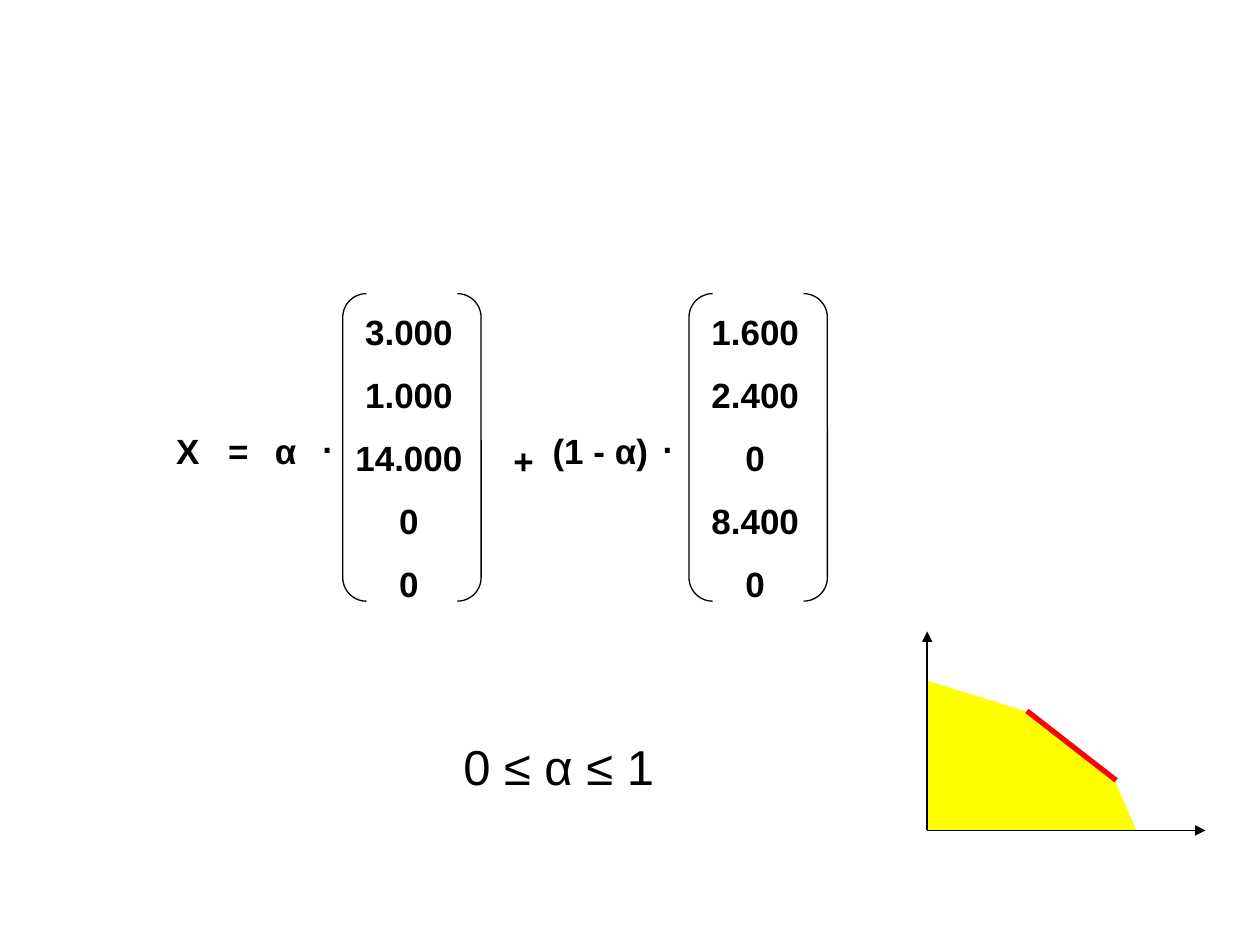
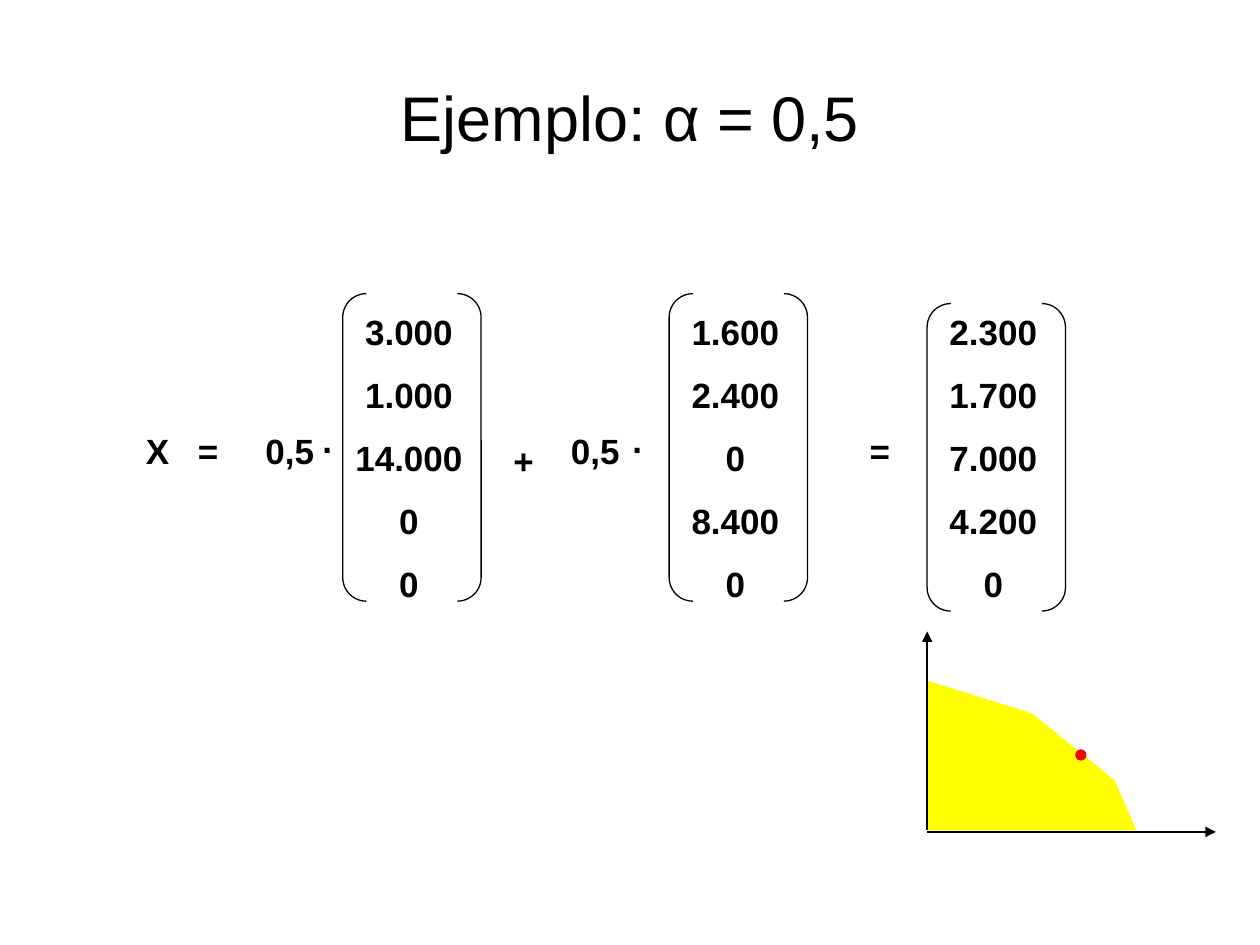
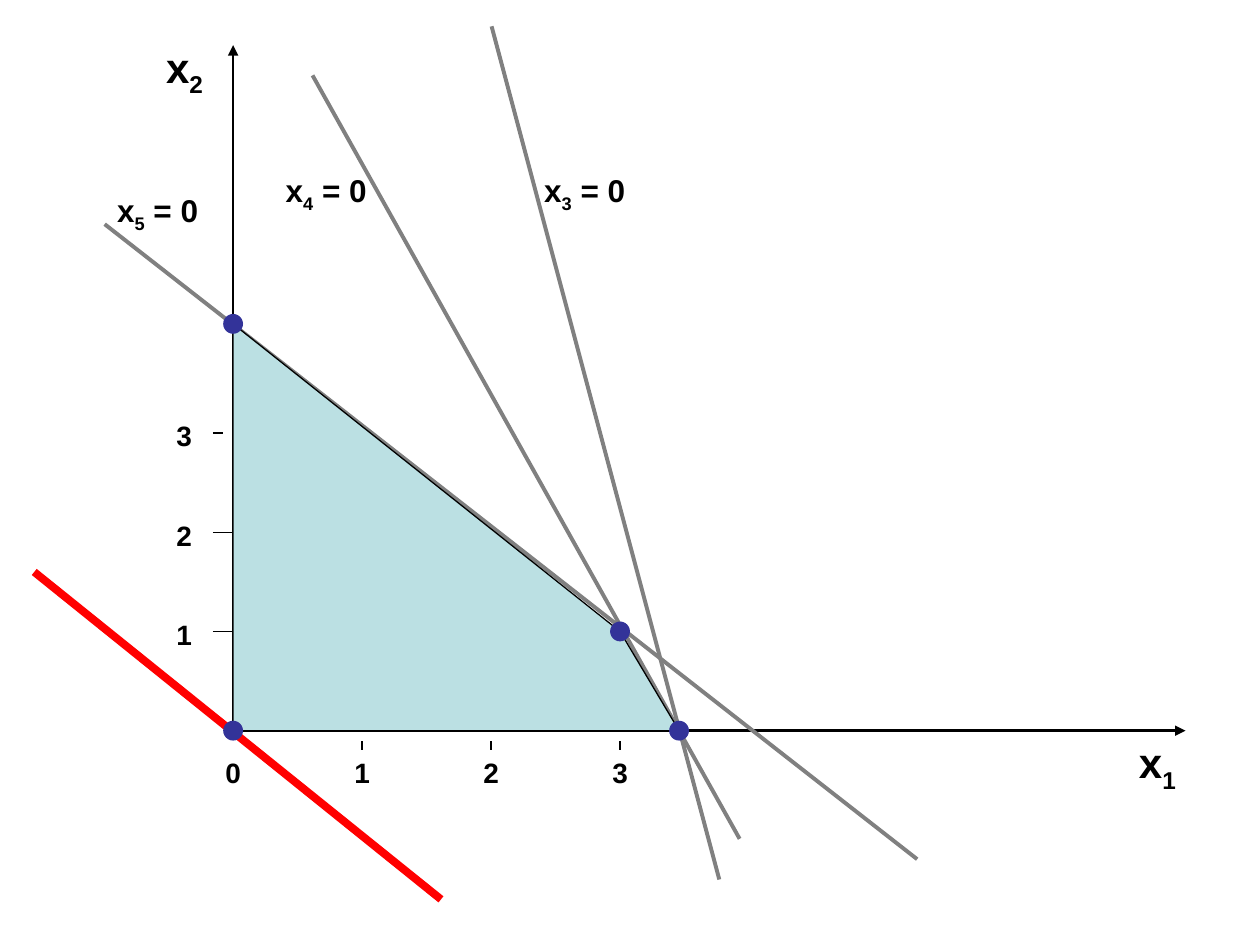
"""Convex combinations of optimal solutions and a feasible region, on three slides."""
from lxml import etree
from pptx import Presentation
from pptx import util as u
from pptx.dml.color import RGBColor
from pptx.enum import shapes, text
from pptx.oxml.ns import qn

COLORS = {
    "ink": "000000",
    "highlight": "FF0000",
    "region": "FFFF00",
    "feasible": "BBE0E3",
    "constraint": "808080",
    "vertex": "333399",
}
TITLE = {"size": u.Pt(36)}
TERM = {"size": u.Pt(20), "bold": True}
RANGE = {"size": u.Pt(28)}
AXIS_NAME = {"size": u.Pt(24), "bold": True}
TICK = {"size": u.Pt(16), "bold": True}
CONSTRAINT = {"size": u.Pt(18), "bold": True}
CENTER = {"alignment": text.PP_ALIGN.CENTER}
COLUMN = {**CENTER, "line_spacing": 1.5}

COLUMN_WIDTH, COLUMN_HEIGHT = 2.79, 6.6
BRACKET_DROP, BRACKET_HEIGHT = 0.2, 6.2
TERM_Y, PLUS_Y, DOT_Y = 2.82, 3.02, 2.59
EQUALS_TAB = 1.05
THUMBNAIL_AT = (18.69, 12.73)
UNIT_X, UNIT_Y = 2.6, 2.0


def rgb(name):
    """Return the named colour."""
    return RGBColor.from_string(COLORS[name])


def apply(target, formats):
    """Set every attribute in a dict of format values."""
    for key, value in formats.items():
        setattr(target, key, value)


def paint(shape, fill=None, line=None, width=0.75):
    """Give a shape its fill and outline, without shadow."""
    shape.shadow.inherit = False
    if fill:
        shape.fill.solid()
        shape.fill.fore_color.rgb = rgb(fill)
    else:
        shape.fill.background()
    if line:
        shape.line.color.rgb = rgb(line)
        shape.line.width = u.Pt(width)
    else:
        shape.line.fill.background()


def write(slide, box, paragraphs, font, layout=None, tab=None, anchor=text.MSO_ANCHOR.TOP):
    """Write paragraphs, each a list of runs where every second run is a subscript."""
    frame = slide.shapes.add_textbox(*map(u.Cm, box)).text_frame
    apply(frame, {"word_wrap": True, "vertical_anchor": anchor})
    for index, runs in enumerate(paragraphs):
        paragraph = frame.add_paragraph() if index else frame.paragraphs[0]
        apply(paragraph, layout or {})
        if tab:
            stops = etree.SubElement(paragraph._p.get_or_add_pPr(), qn("a:tabLst"))
            etree.SubElement(stops, qn("a:tab"), pos=str(u.Cm(tab)), algn="l")
        for position, words in enumerate(runs):
            run = paragraph.add_run()
            run.text = words
            apply(run.font, {"name": "Arial", **font})
            run.font.color.rgb = rgb("ink")
            if position % 2:
                run._r.get_or_add_rPr().set("baseline", "-25000")


def draw_line(slide, start, end, color="ink", width=0.75, arrow=False):
    """Draw a straight line, with an arrowhead at its end on request."""
    line = slide.shapes.add_connector(
        shapes.MSO_CONNECTOR.STRAIGHT, *map(u.Cm, (*start, *end)))
    line.line.color.rgb = rgb(color)
    line.line.width = u.Pt(width)
    if arrow:
        etree.SubElement(line.line._get_or_add_ln(), qn("a:tailEnd"), type="triangle")
    etree.SubElement(line._element.spPr, qn("a:effectLst"))


def draw_polygon(slide, corners, fill, line=None):
    """Draw a closed outline through the corners."""
    points = [(u.Cm(x), u.Cm(y)) for x, y in corners]
    builder = slide.shapes.build_freeform(*points[0])
    builder.add_line_segments(points[1:], close=True)
    paint(builder.convert_to_shape(), fill, line)


def draw_dot(slide, center, size, fill, line=None):
    """Draw a round point about its centre."""
    x, y = center
    dot = slide.shapes.add_shape(
        shapes.MSO_SHAPE.OVAL, *map(u.Cm, (x - size / 2, y - size / 2, size, size)))
    paint(dot, fill, line)


def shifter(origin, up=False):
    """Return a function that turns local coordinates into slide coordinates."""
    left, top = origin
    return lambda x, y: (left + x, top - y if up else top + y)


def vector(slide, left, top, values, drop=BRACKET_DROP):
    """Place a column of values between round brackets."""
    write(slide, (left - 0.06, top, COLUMN_WIDTH, COLUMN_HEIGHT),
          [[value] for value in values.split()], TERM, COLUMN)
    bracket = slide.shapes.add_shape(
        shapes.MSO_SHAPE.DOUBLE_BRACKET,
        *map(u.Cm, (left, top + drop, COLUMN_WIDTH, BRACKET_HEIGHT)))
    bracket.adjustments[0] = 0.171
    paint(bracket, line="ink")


def equation(slide, origin, terms, vectors):
    """Place the terms and the vectors of an equation along one row."""
    at = shifter(origin)
    for words, x, y, width in terms:
        write(slide, (*at(x, y), width, 1.12), [[words]], TERM,
              tab=EQUALS_TAB if "\t" in words else None)
    for x, values, drop in vectors:
        vector(slide, *at(x, 0), values, drop)


def thumbnail(slide, origin, x_axis_y=4.01, x_axis_length=5.61):
    """Place the small feasible region with its axes."""
    at = shifter(origin)
    corners = [(0, 4.01), (0, 0.99), (2.11, 1.65), (3.78, 3), (4.22, 4.01)]
    draw_polygon(slide, [at(*corner) for corner in corners], "region")
    draw_line(slide, at(0, 4.01), at(0, 0), arrow=True)
    draw_line(slide, at(0, x_axis_y), at(x_axis_length, x_axis_y), arrow=True)
    return at


def general_slide(slide):
    """Show the general convex combination and the optimal edge."""
    equation(slide, (3.3, 5.72), [
        ("X\t=", 0, TERM_Y, 2.1), ("α", 1.99, TERM_Y, 1), (".", 2.95, DOT_Y, 0.7),
        ("+", 6.8, PLUS_Y, 1), ("(1 - α)", 7.59, TERM_Y, 2.6), (".", 9.81, DOT_Y, 0.7),
    ], [
        (3.61, "3.000 1.000 14.000 0 0", BRACKET_DROP),
        (10.59, "1.600 2.400 0 8.400 0", BRACKET_DROP),
    ])
    write(slide, (9.09, 14.73, 8.05, 1.45), [["0 ≤ α ≤ 1"]], RANGE)
    at = thumbnail(slide, THUMBNAIL_AT)
    draw_line(slide, at(2.01, 1.6), at(3.81, 3), "highlight", 3)


def example_slide(slide):
    """Show the combination for one value and its point on the edge."""
    write(slide, (1.27, 0.76, 22.86, 3.18), [["Ejemplo: α = 0,5"]], TITLE, CENTER,
          anchor=text.MSO_ANCHOR.MIDDLE)
    equation(slide, (2.69, 5.72), [
        ("X\t=", 0, TERM_Y, 2.1), ("0,5", 2.41, TERM_Y, 1.6), (".", 3.56, DOT_Y, 0.7),
        ("+", 7.41, PLUS_Y, 1), ("0,5", 8.57, TERM_Y, 1.6), (".", 9.81, DOT_Y, 0.7),
        ("=", 14.59, TERM_Y, 1),
    ], [
        (4.22, "3.000 1.000 14.000 0 0", BRACKET_DROP),
        (10.8, "1.600 2.400 0 8.400 0", BRACKET_DROP),
        (16, "2.300 1.700 7.000 4.200 0", 2 * BRACKET_DROP),
    ])
    at = thumbnail(slide, THUMBNAIL_AT, 4.04, 5.82)
    draw_dot(slide, at(3.1, 2.49), 0.2, "highlight", "highlight")


def axes(slide, at):
    """Place both axes with their names, ticks and tick labels."""
    for end in ((0, 13.82), (19.2, 0)):
        draw_line(slide, at(0, 0), at(*end), width=1.5, arrow=True)
    for index, x, y in (("2", -1.6, 14.02), ("1", 18.01, 0)):
        write(slide, (*at(x, y), 1.6, 1.42), [["x", index]], AXIS_NAME)
    for number in range(4):
        x, y = number * UNIT_X, number * UNIT_Y
        write(slide, (*at(x - 0.41, -0.38), 0.82, 0.94), [[str(number)]], TICK, CENTER)
        if number:
            write(slide, (*at(-1.4, y + 0.41), 0.82, 0.94), [[str(number)]], TICK, CENTER)
            draw_line(slide, at(x, -0.38), at(x, -0.2))
            draw_line(slide, at(-0.41, y), at(-0.2 if number == 3 else 0, y))


def region_slide(slide):
    """Show the constraints, the objective line and the feasible region."""
    at = shifter((4.7, 14.73), up=True)
    axes(slide, at)
    constraints = [
        ("5", (-2.59, 10.21), (13.79, -2.59), (-2.59, 11)),
        ("3", (5.21, 14.2), (9.8, -3), (6.02, 11.4)),
        ("4", (10.21, -2.18), (1.6, 13.21), (0.81, 11.4)),
    ]
    for index, start, end, label in constraints:
        draw_line(slide, at(*start), at(*end), "constraint", 2.25)
        write(slide, (*at(*label), 2.3, 1.12), [["x", index, " = 0"]], CONSTRAINT)
    draw_line(slide, at(-4.01, 3.2), at(4.19, -3.4), "highlight", 4.5)
    vertices = [at(*vertex) for vertex in ((0, 0), (0, 8.2), (7.8, 2), (8.99, 0))]
    draw_polygon(slide, vertices, "feasible", "ink")
    for vertex in vertices:
        draw_dot(slide, vertex, 0.4, "vertex")


def main():
    """Build the three slides and save them."""
    deck = Presentation()
    apply(deck, {"slide_width": u.Cm(25.4), "slide_height": u.Cm(19.05)})
    for build in (general_slide, example_slide, region_slide):
        build(deck.slides.add_slide(deck.slide_layouts[6]))
    deck.save("out.pptx")


if __name__ == "__main__":
    main()
